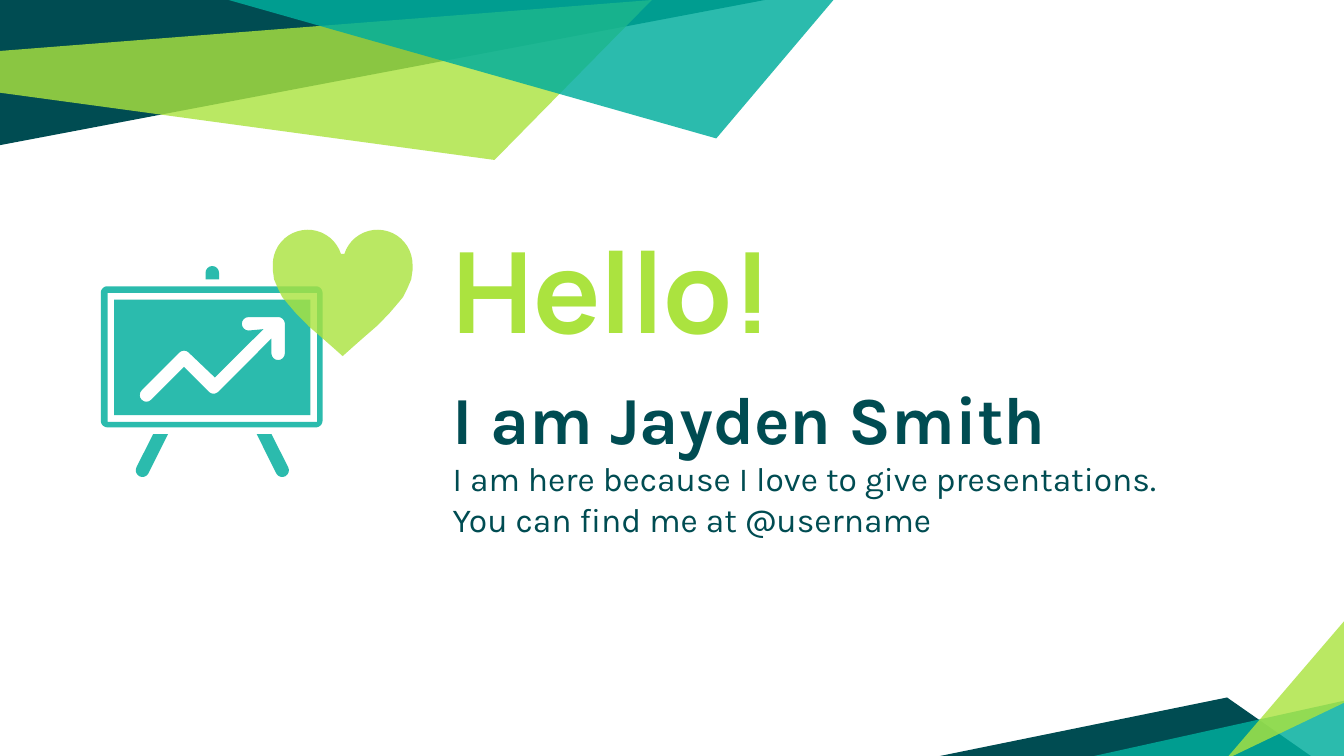
import math
import pptx
import pptx.util
import pptx.dml.color
import pptx.enum.text
import lxml.etree

HUES = {"navy": "004C52", "lime": "ABE33F", "teal": "00AE9D"}
ALPHA = {"lime": 81, "teal": 83}
A = "{http://schemas.openxmlformats.org/drawingml/2006/main}"


def unit(cols):
    """Turn grid columns or rows, one inch each, into a length."""
    return pptx.util.Inches(cols)


def arc(x, y, r, start, end, steps=8):
    """Return points along an arc, angles clockwise in degrees."""
    turns = [math.radians(start + (end - start) * i / steps)
             for i in range(steps + 1)]
    return [(x + r * math.cos(t), y + r * math.sin(t)) for t in turns]


def box(left, top, right, low):
    """Return the corners of a rectangle."""
    return [(left, top), (right, top), (right, low), (left, low)]


def flip(points, axis):
    """Mirror points across an upright axis."""
    return [(2 * axis - x, y) for x, y in points]


class Deck:
    """Holds the style and the current slide."""

    def __init__(self):
        """Start a deck with one blank slide."""
        self.show = pptx.Presentation()
        self.show.slide_width = unit(10)
        self.show.slide_height = unit(5.625)
        self.slide = self.show.slides.add_slide(self.show.slide_layouts[6])

    def shape(self, hue, *loops, home=None):
        """Draw closed outlines as one filled shape."""
        loops = [[(unit(x), unit(y)) for x, y in loop] for loop in loops]
        shapes = (home or self.slide).shapes
        pen = shapes.build_freeform(*loops[0][0], scale=1.0)
        pen.add_line_segments(loops[0][1:], close=True)
        for loop in loops[1:]:
            pen.move_to(*loop[0])
            pen.add_line_segments(loop[1:], close=True)
        form = pen.convert_to_shape()
        form.shadow.inherit = False
        form.line.fill.background()
        form.fill.solid()
        form.fill.fore_color.rgb = pptx.dml.color.RGBColor.from_string(HUES[hue])
        if hue in ALPHA:
            tint = form.element.spPr.find(f"{A}solidFill/{A}srgbClr")
            lxml.etree.SubElement(tint, A + "alpha", val=str(ALPHA[hue] * 1000))

    def text(self, top, height, hue, font, lines, anchor):
        """Add a text box of (words, size, bold) lines."""
        area = self.slide.shapes.add_textbox(
            unit(3.27), unit(top), unit(5.85), unit(height))
        frame = area.text_frame
        frame.word_wrap = True
        frame.vertical_anchor = anchor
        for side in ("left", "top", "right", "bottom"):
            setattr(frame, "margin_" + side, unit(0.1))
        for i, (words, size, bold) in enumerate(lines):
            para = frame.add_paragraph() if i else frame.paragraphs[0]
            run = para.add_run()
            run.text = words
            run.font.name = font
            run.font.size = pptx.util.Pt(size)
            run.font.bold = bold
            run.font.color.rgb = pptx.dml.color.RGBColor.from_string(HUES[hue])

    def board(self):
        """Draw the easel with its chart arrow as a group."""
        home = self.slide.shapes.add_group_shape()
        rim = (arc(0.8, 2.18, 0.05, 180, 270) + arc(2.35, 2.18, 0.05, 270, 360)
               + arc(2.35, 3.13, 0.05, 0, 90) + arc(0.8, 3.13, 0.05, 90, 180))
        knob = arc(1.58, 2.03, 0.05, 180, 360) + [(1.63, 2.08), (1.53, 2.08)]
        leg = [(1.14, 3.23)] + arc(1.06, 3.5, 0.05, 207, 27) + [(1.25, 3.23)]
        arrow = (arc(2.07, 2.41, 0.05, -90, 0) + arc(2.07, 2.63, 0.05, 0, 180)
                 + [(2.02, 2.52)] + arc(1.59, 2.88, 0.05, 45, 135)
                 + [(1.37, 2.73)] + arc(1.09, 2.94, 0.05, 45, 225)
                 + arc(1.37, 2.66, 0.05, 225, 315) + [(1.6, 2.81), (1.96, 2.45)]
                 + arc(1.85, 2.41, 0.05, 90, 270))
        self.shape("teal", rim, box(0.8, 2.18, 2.36, 3.14), home=home)
        for part in (knob, leg, flip(leg, 1.58)):
            self.shape("teal", part, home=home)
        self.shape("teal", arrow, box(0.85, 2.23, 2.31, 3.09), home=home)

    def heart(self):
        """Draw the heart from one half and its mirror."""
        half = arc(2.81, 1.97, 0.26, 198, 360, 20) + [
            (3.07, 2.01), (3.06, 2.08), (3.03, 2.15), (3, 2.21), (2.95, 2.27),
            (2.89, 2.34), (2.8, 2.43), (2.72, 2.5), (2.64, 2.57), (2.55, 2.65)]
        self.shape("lime", half + flip(half, 2.55)[::-1])


deck = Deck()
for hue, ends in (
        ("navy", [(0, 0), (0, 1.08), (5.69, 0)]),
        ("lime", [(-0.01, 0.38), (0, 0.69), (3.68, 1.19), (4.85, 0)]),
        ("navy", [(6.97, 5.63), (9.76, 5.63), (9.13, 5.19)]),
        ("teal", [(10.02, 5.21), (10.02, 5.65), (8.03, 5.65)]),
        ("lime", [(10.02, 5.22), (10.02, 4.6), (9.12, 5.65)]),
        ("teal", [(1.7, 0), (5.33, 1.03), (6.21, -0.01), (6.09, 0)])):
    deck.shape(hue, ends)
anchors = pptx.enum.text.MSO_ANCHOR
deck.text(1.48, 1.27, "lime", "Manrope", [("Hello!", 60, True)], anchors.BOTTOM)
deck.text(2.71, 2.4, "navy", "Karla", [
    ("I am Jayden Smith", 36, True),
    ("I am here because I love to give presentations.", 18, False),
    ("You can find me at @username", 18, False)], anchors.TOP)
deck.board()
deck.heart()
deck.show.save("out.pptx")
